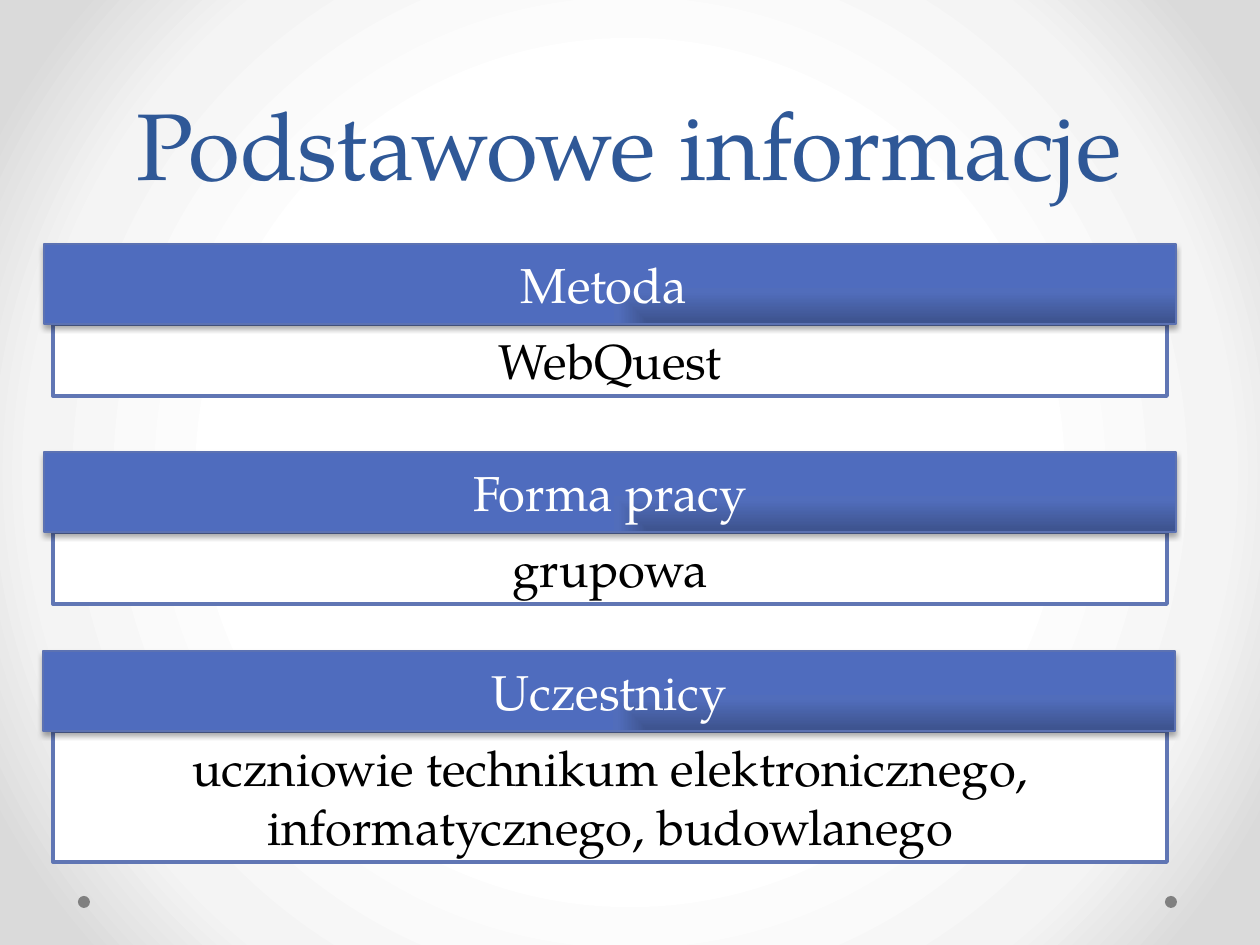
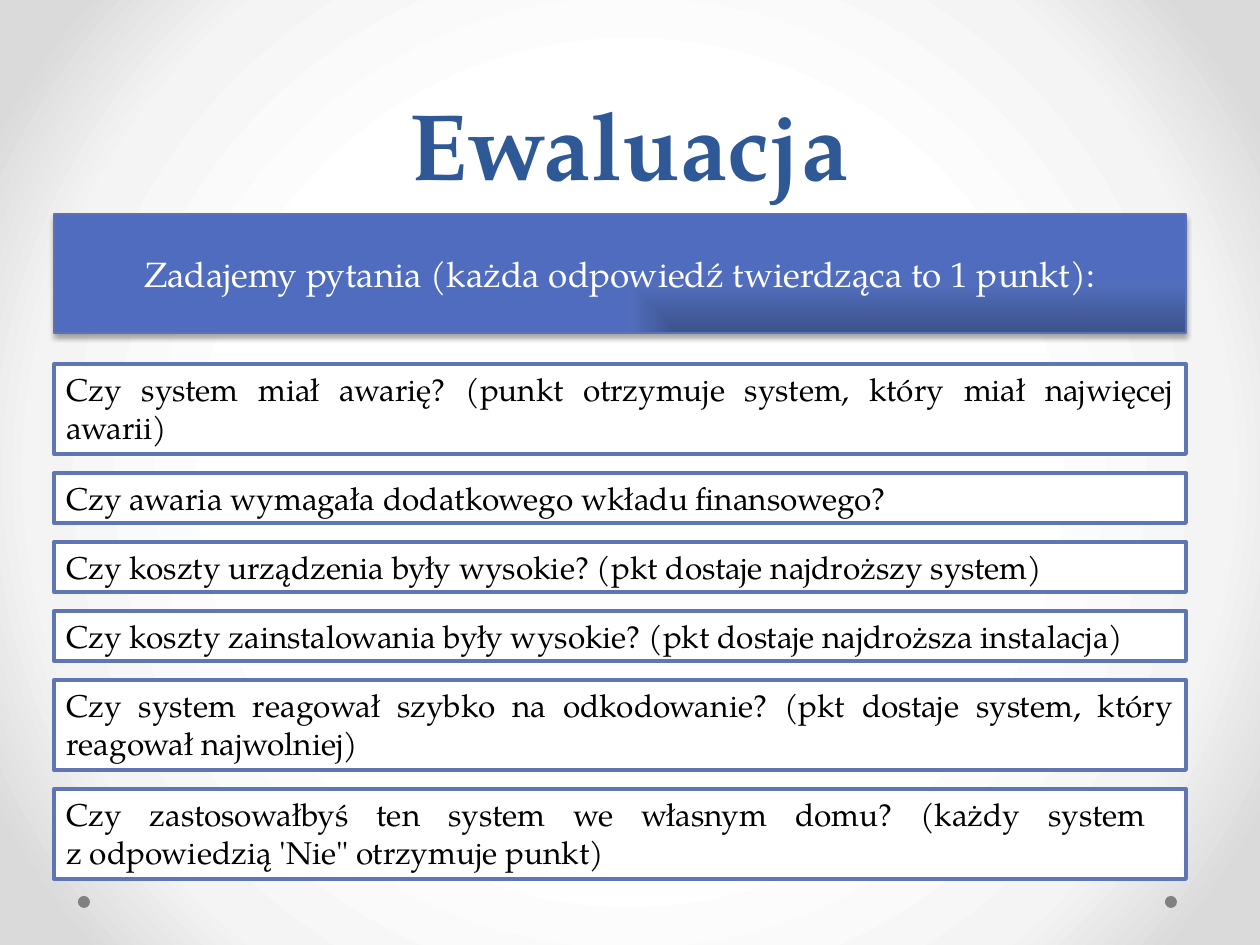
"""Build two slides on a school project: basic facts and evaluation questions."""
from pptx import Presentation
from pptx.dml.color import RGBColor
from pptx.enum.shapes import MSO_SHAPE
from pptx.enum.text import MSO_ANCHOR, MSO_AUTO_SIZE, PP_ALIGN
from pptx.oxml import parse_xml
from pptx.oxml.ns import nsdecls, qn
from pptx.util import Pt

RECT, OVAL = MSO_SHAPE.RECTANGLE, MSO_SHAPE.OVAL
TOP, MIDDLE, BOTTOM = MSO_ANCHOR.TOP, MSO_ANCHOR.MIDDLE, MSO_ANCHOR.BOTTOM
GROW, FIXED = MSO_AUTO_SIZE.SHAPE_TO_FIT_TEXT, MSO_AUTO_SIZE.NONE
CENTER, JUSTIFY = PP_ALIGN.CENTER, PP_ALIGN.JUSTIFY

WHITE = RGBColor(0xFF, 0xFF, 0xFF)
BLACK = RGBColor(0x00, 0x00, 0x00)
GRAY = RGBColor(0x80, 0x80, 0x80)
NAVY = RGBColor(0x2F, 0x58, 0x97)
BLUE = RGBColor(0x60, 0x76, 0xB4)
EDGE = RGBColor(0x5C, 0x72, 0xB2)
MIST = RGBColor(0xF4, 0xF4, 0xF4)
ASH = RGBColor(0xDA, 0xDA, 0xDA)
DEEP = RGBColor(0x3E, 0x54, 0x90)
MID = RGBColor(0x51, 0x6D, 0xBB)
BAND = RGBColor(0x4F, 0x6C, 0xBE)

FONT = "TeX Gyre Pagella"
SCALE = 914400 / 126
BACK = ([(50, WHITE), (76, MIST), (92, ASH)], "circle", (50, 50, 50, 50))
GLOW = ([(7, DEEP), (80, MID), (100, BAND)], "rect", (100, 100, 0, 0))

FACTS = {
    "title": "Podstawowe informacje",
    "groups": [
        (44, 244, "Metoda ", "WebQuest", 72),
        (44, 452, "Forma pracy", "grupowa", 72),
        (43, 651, "Uczestnicy",
         "uczniowie technikum elektronicznego, informatycznego, budowlanego", 131),
    ],
}
REVIEW = {
    "title": "Ewaluacja",
    "lead": "Zadajemy pytania (każda odpowiedź twierdząca to 1 punkt):",
    "asks": [
        ("Czy system miał awarię? (punkt otrzymuje system, który miał najwięcej awarii)", 2),
        ("Czy awaria wymagała dodatkowego wkładu finansowego?", 1),
        ("Czy koszty urządzenia były wysokie? (pkt dostaje najdroższy system)", 1),
        ("Czy koszty zainstalowania były wysokie? (pkt dostaje najdroższa instalacja)", 1),
        ("Czy system reagował szybko na odkodowanie? "
         "(pkt dostaje system, który reagował najwolniej)", 2),
        ("Czy zastosowałbyś ten system we własnym domu? (każdy system \v"
         "z odpowiedzią 'Nie\" otrzymuje punkt)", 2),
    ],
}
WIDE = 1132
HEAD = 80
GAP = 19
TALL = {1: 50, 2: 90}


def px(*vals):
    return [round(val * SCALE) for val in vals]


def assign(obj, **vals):
    for name, val in vals.items():
        setattr(obj, name, val)


def blend(root, stops, kind, edges):
    marks = "".join(f'<a:gs pos="{pos * 1000}"><a:srgbClr val="{tone}"/></a:gs>'
                    for pos, tone in stops)
    sides = " ".join(f'{side}="{val * 1000}"' for side, val in zip("ltrb", edges))
    old = next(root.iter(qn("a:gradFill")))
    old.getparent().replace(old, parse_xml(
        f'<a:gradFill {nsdecls("a")} rotWithShape="1"><a:gsLst>{marks}</a:gsLst>'
        f'<a:path path="{kind}"><a:fillToRect {sides}/></a:path></a:gradFill>'))


def write(shape, text, size, tone, align=CENTER, anchor=TOP, fit=FIXED, **font):
    frame = shape.text_frame
    assign(frame, text=text, word_wrap=True, auto_size=fit, vertical_anchor=anchor)
    para = frame.paragraphs[0]
    para.alignment = align
    for run in para.runs:
        assign(run.font, name=FONT, size=Pt(size), **font)
        run.font.color.rgb = tone
    return para


def block(slide, area, edge, width):
    shape = slide.shapes.add_shape(RECT, *px(*area))
    shape.shadow.inherit = False
    shape.line.color.rgb = edge
    shape.line.width = Pt(width)
    return shape


def panel(slide, area, text, size, align):
    shape = block(slide, area, BLUE, 2.25)
    shape.fill.solid()
    shape.fill.fore_color.rgb = WHITE
    write(shape, text, size, BLACK, align, fit=GROW)


def banner(slide, area, text, size):
    shape = block(slide, area, EDGE, 0.75)
    shape.fill.gradient()
    blend(shape.element, *GLOW)
    shape.element.spPr.find(qn("a:effectLst")).append(parse_xml(
        f'<a:outerShdw {nsdecls("a")} blurRad="{Pt(3.1)}" dist="{Pt(1.8)}" '
        'dir="5400000" rotWithShape="0"><a:srgbClr val="000000">'
        '<a:alpha val="35000"/></a:srgbClr></a:outerShdw>'))
    write(shape, text, size, WHITE, anchor=MIDDLE)


def start(deck, text, bold=False):
    slide = deck.slides.add_slide(deck.slide_layouts[5])
    title = slide.shapes.title
    assign(title, **dict(zip(("left", "top", "width", "height"), px(62, -14, 1134, 220))))
    write(title, text, 54, NAVY, anchor=BOTTOM, bold=bold).line_spacing = Pt(58)
    return slide


def dress(deck, slide):
    master = deck.slide_master
    master.background.fill.gradient()
    blend(master.element, *BACK)
    for num, left in enumerate((1165, 78)):
        dot = slide.shapes.add_shape(OVAL, *px(left, 896, 12, 12))
        dot.shadow.inherit = False
        dot.fill.solid()
        dot.fill.fore_color.rgb = GRAY
        dot.line.fill.background()
        dot.element.nvSpPr.cNvPr.id = 90 + num
        master.shapes.element.append(dot.element)


def main():
    deck = Presentation()
    deck.slide_width, deck.slide_height = px(1260, 945)

    slide = start(deck, FACTS["title"])
    dress(deck, slide)
    for left, top, head, body, tall in FACTS["groups"]:
        panel(slide, (53, top + HEAD, 1114, tall), body, 28, CENTER)
        banner(slide, (left, top, WIDE, HEAD), head, 28)

    slide = start(deck, REVIEW["title"], True)
    banner(slide, (54, 214, WIDE, 119), REVIEW["lead"], 20)
    top = 364
    for text, lines in REVIEW["asks"]:
        panel(slide, (54, top, WIDE, TALL[lines]), text, 18, JUSTIFY)
        top += TALL[lines] + GAP

    deck.save("out.pptx")


main()
